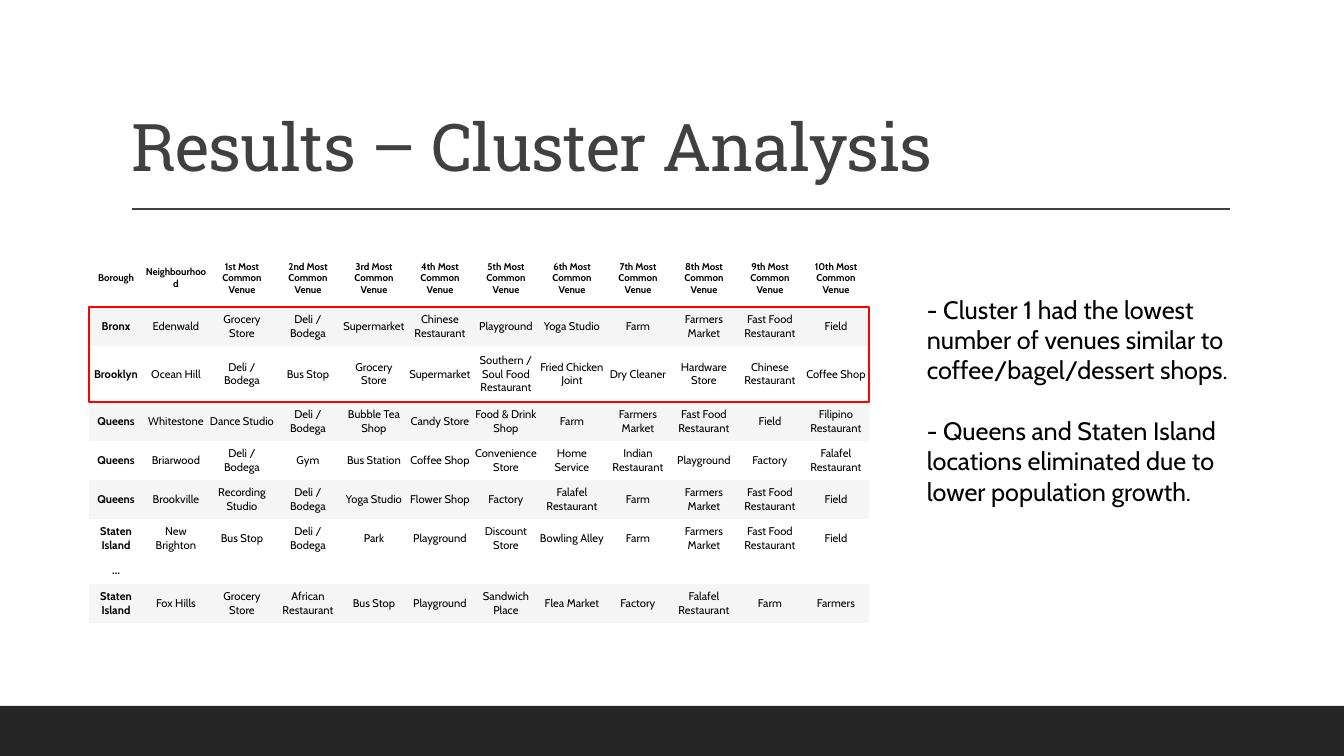
"""Build the cluster analysis results slide."""
from dataclasses import dataclass

from lxml import etree
from pptx import Presentation
from pptx.dml.color import RGBColor
from pptx.enum.shapes import MSO_CONNECTOR, MSO_SHAPE
from pptx.enum.text import MSO_ANCHOR, MSO_AUTO_SIZE, PP_ALIGN
from pptx.oxml.ns import qn
from pptx.util import Pt

RECTANGLE = MSO_SHAPE.RECTANGLE
STRAIGHT = MSO_CONNECTOR.STRAIGHT
BOTTOM, MIDDLE = MSO_ANCHOR.BOTTOM, MSO_ANCHOR.MIDDLE
LEFT, CENTER = PP_ALIGN.LEFT, PP_ALIGN.CENTER
NO_AUTOFIT = MSO_AUTO_SIZE.NONE
TITLE_ONLY_LAYOUT = 5
EMU_PER_PIXEL = 914400 / 100.8
PLAIN_TABLE_STYLE = "{2D5ABB26-0587-4C30-8999-92F81FD0307C}"


@dataclass(frozen=True)
class Theme:
    """Colours, fonts and type sizes of the slide."""
    heading_font: str = "Roboto Slab"
    body_font: str = "Cabin"
    heading: str = "404040"
    text: str = "000000"
    footer: str = "262626"
    row: str = "FFFFFF"
    shaded_row: str = "F5F5F5"
    highlight: str = "FF0000"
    title_size: int = 47
    findings_size: int = 18
    header_size: int = 7
    cell_size: int = 8


THEME = Theme()
TABLE_LEFT, TABLE_TOP = 89, 250
COLUMN_WIDTHS = [54] + [66] * 11
ROW_HEIGHTS = [57, 39, 56, 39, 39, 39, 39, 26, 39]
SHADED_ROWS = {1, 3, 5, 8}
HIGHLIGHTED_ROWS = slice(1, 3)
ORDINALS = ["1st", "2nd", "3rd"] + [f"{rank}th" for rank in range(4, 11)]
HEADER = ["Borough", "Neighbourhood"] + [f"{ordinal} Most Common Venue" for ordinal in ORDINALS]
VENUES = [
    ["Bronx", "Edenwald", "Grocery Store", "Deli / Bodega", "Supermarket", "Chinese Restaurant",
     "Playground", "Yoga Studio", "Farm", "Farmers Market", "Fast Food Restaurant", "Field"],
    ["Brooklyn", "Ocean Hill", "Deli / Bodega", "Bus Stop", "Grocery Store", "Supermarket",
     "Southern / Soul Food Restaurant", "Fried Chicken Joint", "Dry Cleaner", "Hardware Store",
     "Chinese Restaurant", "Coffee Shop"],
    ["Queens", "Whitestone", "Dance Studio", "Deli / Bodega", "Bubble Tea Shop", "Candy Store",
     "Food & Drink Shop", "Farm", "Farmers Market", "Fast Food Restaurant", "Field",
     "Filipino Restaurant"],
    ["Queens", "Briarwood", "Deli / Bodega", "Gym", "Bus Station", "Coffee Shop",
     "Convenience Store", "Home Service", "Indian Restaurant", "Playground", "Factory",
     "Falafel Restaurant"],
    ["Queens", "Brookville", "Recording Studio", "Deli / Bodega", "Yoga Studio", "Flower Shop",
     "Factory", "Falafel Restaurant", "Farm", "Farmers Market", "Fast Food Restaurant", "Field"],
    ["Staten Island", "New Brighton", "Bus Stop", "Deli / Bodega", "Park", "Playground",
     "Discount Store", "Bowling Alley", "Farm", "Farmers Market", "Fast Food Restaurant", "Field"],
    ["…"] + [""] * 11,
    ["Staten Island", "Fox Hills", "Grocery Store", "African Restaurant", "Bus Stop", "Playground",
     "Sandwich Place", "Flea Market", "Factory", "Falafel Restaurant", "Farm", "Farmers"],
]
FINDINGS = [
    "- Cluster 1 had the lowest number of venues similar to coffee/bagel/dessert shops.",
    "- Queens and Staten Island locations eliminated due to lower population growth.",
]


def px(pixels):
    """Turn pixels into EMU."""
    return round(pixels * EMU_PER_PIXEL)


def rgb(colour):
    """Turn a hex string into a colour."""
    return RGBColor.from_string(colour)


def add_run(paragraph, text, font_name, size, colour, bold=False):
    """Add one formatted run and return it."""
    run = paragraph.add_run()
    run.text = text
    run.font.name = font_name
    run.font.size = Pt(size)
    run.font.bold = bold
    run.font.color.rgb = rgb(colour)
    return run


def add_rectangle(slide, left, top, width, height, fill=None, line=None):
    """Add a rectangle with an optional fill and outline."""
    shape = slide.shapes.add_shape(RECTANGLE, px(left), px(top), px(width), px(height))
    shape.shadow.inherit = False
    if fill:
        shape.fill.solid()
        shape.fill.fore_color.rgb = rgb(fill)
    else:
        shape.fill.background()
    if line:
        shape.line.color.rgb = rgb(line)
        shape.line.width = Pt(1.25)
    else:
        shape.line.fill.background()


def add_rule(slide, left, right, y):
    """Add the horizontal rule below the title."""
    rule = slide.shapes.add_connector(STRAIGHT, px(left), px(y), px(right), px(y))
    rule.line.color.rgb = rgb(THEME.heading)
    rule.line.width = Pt(1)
    etree.SubElement(rule._element.spPr, qn("a:effectLst"))


def set_title(slide, text):
    """Place and format the title placeholder."""
    title = slide.shapes.title
    title.left, title.top, title.width, title.height = px(121), px(31), px(1109), px(160)
    frame = title.text_frame
    frame.auto_size = NO_AUTOFIT
    frame.word_wrap = True
    frame.vertical_anchor = BOTTOM
    paragraph = frame.paragraphs[0]
    paragraph.alignment = LEFT
    paragraph.line_spacing = 0.9
    run = add_run(paragraph, text, THEME.heading_font, THEME.title_size, THEME.heading)
    run._r.get_or_add_rPr().set("spc", "-50")


def fill_cell(cell, text, size, bold, fill):
    """Write and format one table cell."""
    cell.fill.solid()
    cell.fill.fore_color.rgb = rgb(fill)
    cell.vertical_anchor = MIDDLE
    cell.margin_left = cell.margin_right = cell.margin_top = cell.margin_bottom = px(1)
    paragraph = cell.text_frame.paragraphs[0]
    paragraph.alignment = CENTER
    if text:
        add_run(paragraph, text, THEME.body_font, size, THEME.text, bold)
    else:
        etree.SubElement(paragraph._p, qn("a:endParaRPr"), sz=str(size * 100))


def add_venue_table(slide):
    """Add the table of most common venues."""
    rows = [HEADER] + VENUES
    frame = slide.shapes.add_table(len(rows), len(HEADER), px(TABLE_LEFT), px(TABLE_TOP),
                                   px(sum(COLUMN_WIDTHS)), px(sum(ROW_HEIGHTS)))
    table = frame.table
    table.first_row = table.horz_banding = False
    table._tbl.tblPr.find(qn("a:tableStyleId")).text = PLAIN_TABLE_STYLE
    for column, width in zip(table.columns, COLUMN_WIDTHS):
        column.width = px(width)
    for row_index, (texts, height) in enumerate(zip(rows, ROW_HEIGHTS)):
        table.rows[row_index].height = px(height)
        is_header = row_index == 0
        size = THEME.header_size if is_header else THEME.cell_size
        fill = THEME.shaded_row if row_index in SHADED_ROWS else THEME.row
        for column_index, text in enumerate(texts):
            bold = is_header or column_index == 0
            fill_cell(table.cell(row_index, column_index), text, size, bold, fill)


def add_findings(slide):
    """Add the findings beside the table."""
    box = slide.shapes.add_textbox(px(917), px(289), px(354), px(224))
    frame = box.text_frame
    frame.word_wrap = True
    for index, text in enumerate(FINDINGS):
        paragraph = frame.add_paragraph() if index else frame.paragraphs[0]
        paragraph.space_before = Pt(22 if index else 0)
        add_run(paragraph, text, THEME.body_font, THEME.findings_size, THEME.text)


def main():
    """Build and save the slide."""
    presentation = Presentation()
    presentation.slide_width, presentation.slide_height = px(1344), px(756)
    slide = presentation.slides.add_slide(presentation.slide_layouts[TITLE_ONLY_LAYOUT])
    add_rectangle(slide, 0, 706, 1344, 50, fill=THEME.footer)
    add_rule(slide, 132, 1230, 209)
    set_title(slide, "Results – Cluster Analysis")
    add_venue_table(slide)
    add_rectangle(slide, TABLE_LEFT, TABLE_TOP + ROW_HEIGHTS[0], sum(COLUMN_WIDTHS),
                  sum(ROW_HEIGHTS[HIGHLIGHTED_ROWS]), line=THEME.highlight)
    add_findings(slide)
    presentation.save("out.pptx")


main()
